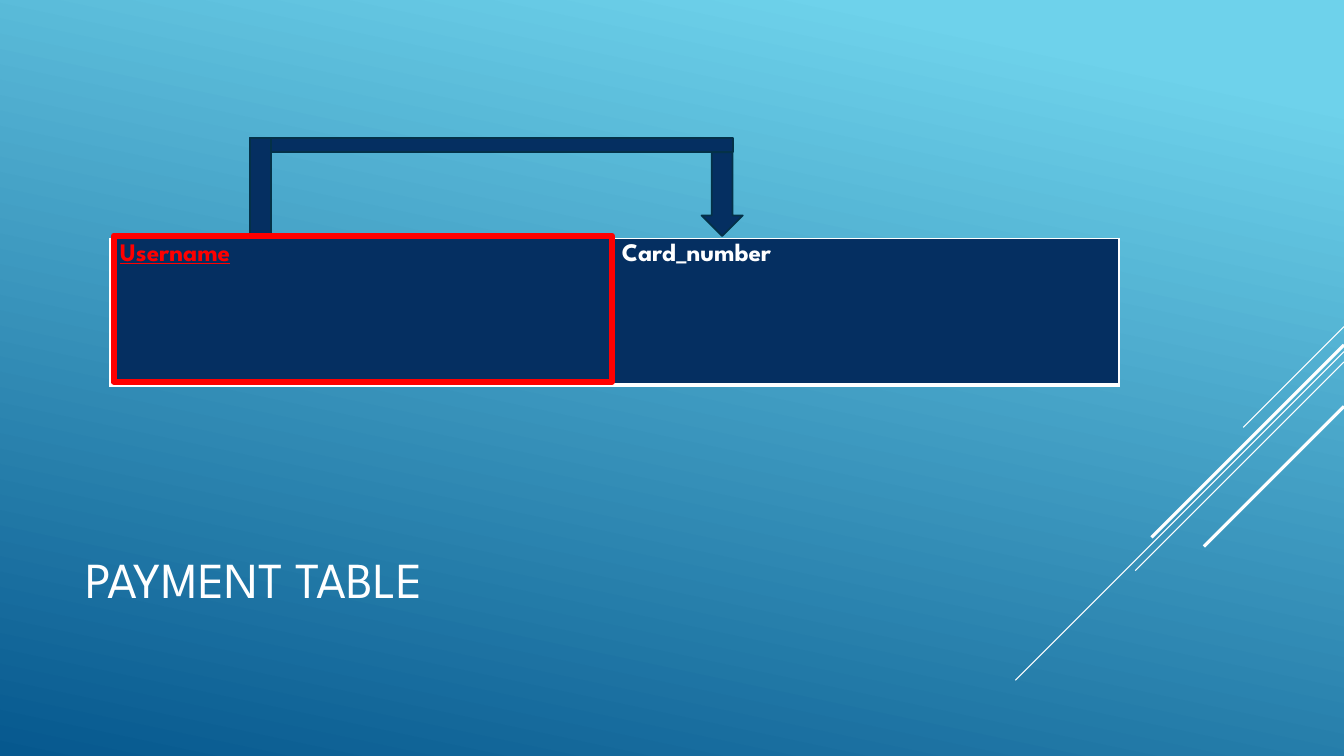
from pptx import Presentation
from pptx.dml.color import RGBColor
from pptx.enum.shapes import MSO_CONNECTOR as Link, MSO_SHAPE as Shape
from pptx.enum.text import MSO_ANCHOR as Anchor, MSO_AUTO_SIZE as Fit, PP_ALIGN as Align
from pptx.oxml.ns import qn
from pptx.util import Cm, Pt
from lxml.etree import SubElement

FONT = "League Spartan"
WHITE = RGBColor(0xFF, 0xFF, 0xFF)
RED = RGBColor(0xFF, 0x00, 0x00)
NAVY = RGBColor(0x05, 0x2F, 0x61)
EDGE = RGBColor(0x04, 0x31, 0x48)
SKY = RGBColor(0x6E, 0xD2, 0xEB)
DEEP = RGBColor(0x06, 0x58, 0x8E)

WIDTH, HEIGHT = 33.87, 19.05
# Diagonals at the right edge: top, run, weight
RAYS = [(8.23, 2.54, 0.75), (8.86, 8.28, 0.75), (9.12, 5.26, 0.75),
        (8.69, 4.85, 2.25), (10.24, 3.53, 2.25)]


def set_font(para, size, color, bold=False, under=False):
    font = para.font
    font.name, font.size = FONT, Pt(size)
    font.bold, font.underline = bold, under
    font.color.rgb = color


def paint_back(slide):
    fill = slide.background.fill
    fill.gradient()
    fill.gradient_angle = 258
    for stop, color, place in zip(fill.gradient_stops, (SKY, DEEP), (0.1, 1)):
        stop.color.rgb = color
        stop.position = place


def add_ray(slide, top, run, weight):
    ray = slide.shapes.add_connector(
        Link.STRAIGHT, Cm(WIDTH), Cm(top), Cm(WIDTH - run), Cm(top + run))
    ray.line.color.rgb = WHITE
    ray.line.width = Pt(weight)
    SubElement(ray._element.spPr, qn("a:effectLst"))


def set_title(slide, text):
    title = slide.shapes.title
    title.left, title.top = Cm(1.9), Cm(12.47)
    title.width, title.height = Cm(23.7), Cm(4.19)
    frame = title.text_frame
    frame.text = text
    frame.auto_size = Fit.NONE
    frame.vertical_anchor = Anchor.MIDDLE
    para = frame.paragraphs[0]
    para.alignment = Align.LEFT
    set_font(para, 36, WHITE)


def add_edges(cell):
    props = cell._tc.get_or_add_tcPr()
    for side, weight in (("L", 1), ("R", 1), ("T", 1), ("B", 3)):
        edge = SubElement(props, qn(f"a:ln{side}"), w=str(Pt(weight)))
        fill = SubElement(edge, qn("a:solidFill"))
        SubElement(fill, qn("a:srgbClr"), val=str(WHITE))


def add_fields(slide, fields, widths):
    table = slide.shapes.add_table(
        1, len(fields), Cm(2.77), Cm(6.02), Cm(sum(widths)), Cm(3.68)).table
    for col, width in zip(table.columns, widths):
        col.width = Cm(width)
    for cell, (text, color, key) in zip(table.rows[0].cells, fields):
        cell.text = text
        set_font(cell.text_frame.paragraphs[0], 18, color, True, key)
        add_edges(cell)
        cell.fill.solid()
        cell.fill.fore_color.rgb = NAVY


def add_block(slide, kind, box, fill, line, weight):
    block = slide.shapes.add_shape(kind, *map(Cm, box))
    block.shadow.inherit = False
    if fill is None:
        block.fill.background()
    else:
        block.fill.solid()
        block.fill.fore_color.rgb = fill
    block.line.color.rgb = line
    block.line.width = Pt(weight)


def main():
    deck = Presentation()
    deck.slide_width, deck.slide_height = Cm(WIDTH), Cm(HEIGHT)
    slide = deck.slides.add_slide(deck.slide_layouts[5])

    # Backdrop
    paint_back(slide)
    for ray in RAYS:
        add_ray(slide, *ray)

    # Title and table
    set_title(slide, "PAYMENT TABLE")
    add_fields(slide, [("Username", RED, True), ("Card_number", WHITE, False)],
               (12.65, 12.78))

    # Arrow from the key to the card number: head, bar, stem
    for kind, box in ((Shape.DOWN_ARROW, (17.68, 3.84, 1.04, 2.11)),
                      (Shape.RECTANGLE, (6.3, 3.48, 12.17, 0.36)),
                      (Shape.RECTANGLE, (6.3, 3.48, 0.53, 2.46))):
        add_block(slide, kind, box, NAVY, EDGE, 1.25)

    # Frame around the key
    add_block(slide, Shape.RECTANGLE, (2.87, 5.94, 12.55, 3.68), None, RED, 4.5)

    deck.save("out.pptx")


if __name__ == "__main__":
    main()
